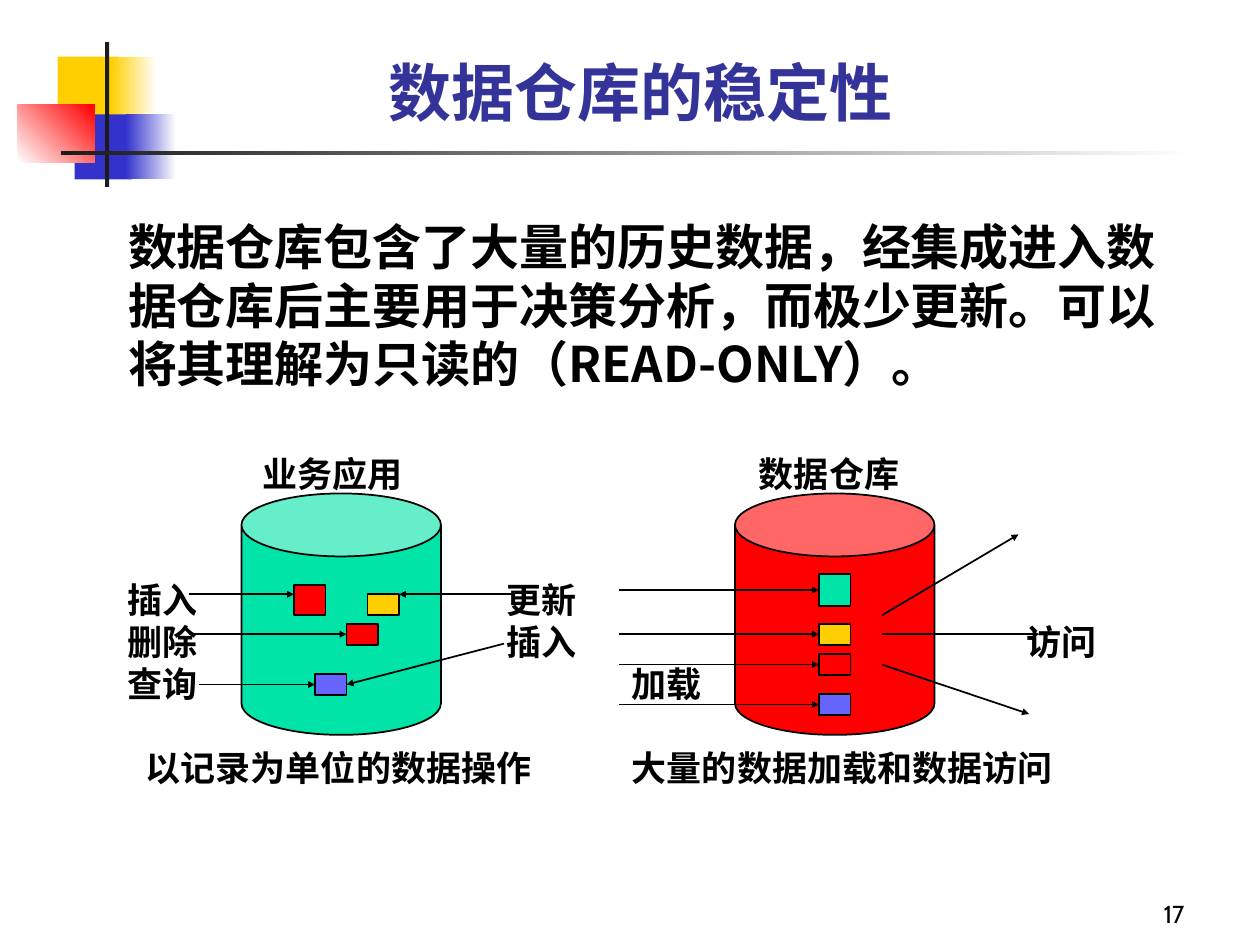
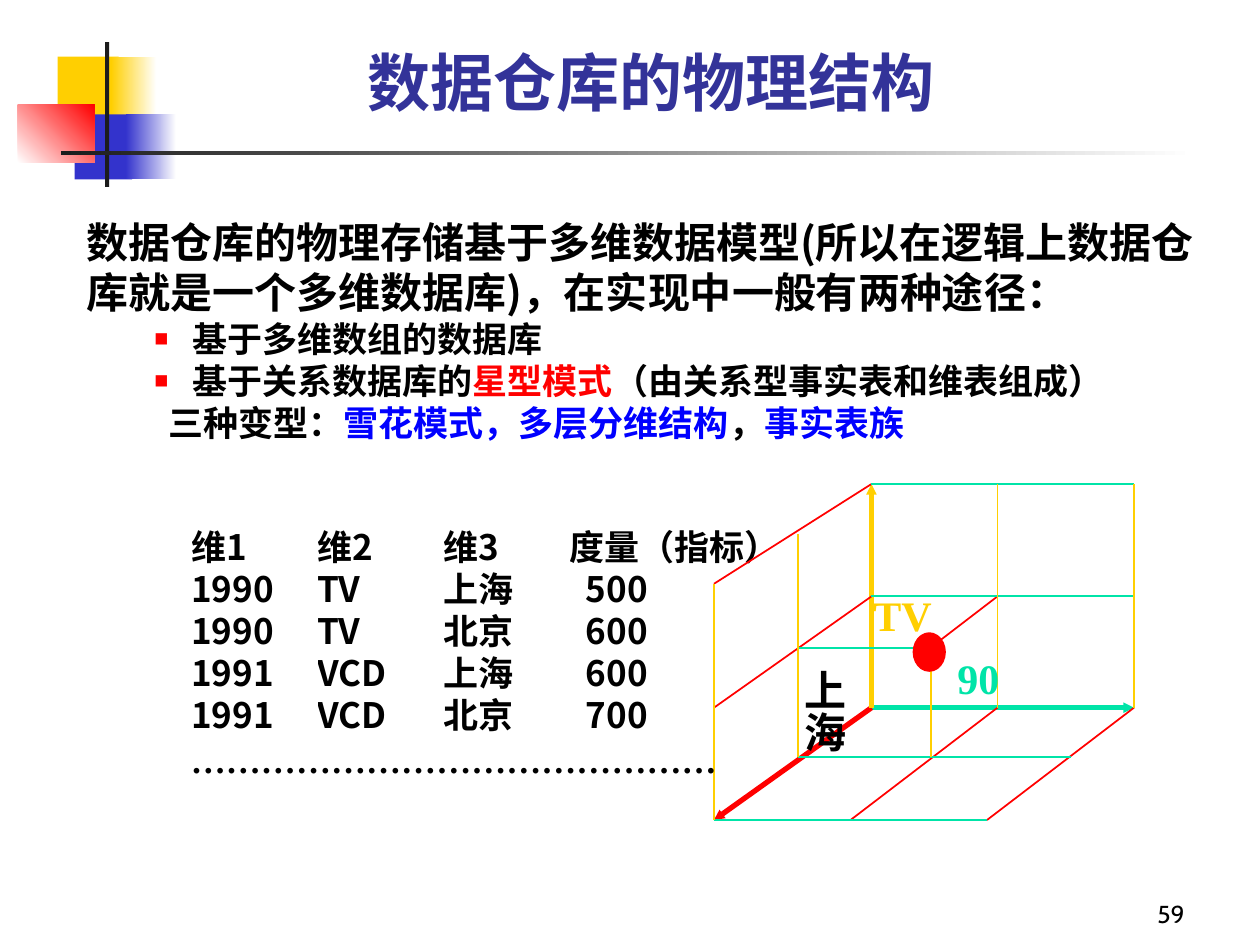
from lxml import etree
from pptx import Presentation, util as u
from pptx.dml.color import RGBColor
from pptx.enum import shapes, text
from pptx.oxml.ns import qn

PX = 7620
SANS, SERIF = "Noto Sans CJK SC", "Times New Roman"
BLACK, WHITE, RED, BLUE = "000000", "FFFFFF", "FF0000", "0000FF"
GREEN, YELLOW, VIOLET, INDIGO = "00E4A8", "FFCF01", "6666FF", "3333CC"
CHARCOAL, TITLE_COLOUR = "1C1C1C", "333399"
RECTANGLE = shapes.MSO_SHAPE.RECTANGLE
CAN = shapes.MSO_SHAPE.CAN
OVAL = shapes.MSO_SHAPE.OVAL


def add_shape(slide, kind, box, colours, angle=0, outline=None):
    shape = slide.shapes.add_shape(kind, *[value * PX for value in box])
    shape.shadow.inherit = False
    if len(colours) == 1:
        shape.fill.solid()
        shape.fill.fore_color.rgb = RGBColor.from_string(colours[0])
    else:
        shape.fill.gradient()
        shape.fill.gradient_angle = angle
        for stop, colour in zip(shape.fill.gradient_stops, colours):
            stop.color.rgb = RGBColor.from_string(colour)
    if outline:
        shape.line.color.rgb = RGBColor.from_string(outline)
        shape.line.width = u.Pt(1)
    else:
        shape.line.fill.background()
    return shape


def write(paragraph, runs, size, font=SANS, bold=True):
    paragraph.line_spacing = u.Pt(size * 1.2)
    for words, colour in runs:
        run = paragraph.add_run()
        run.text = words
        for name, value in {"size": u.Pt(size), "bold": bold, "name": font}.items():
            setattr(run.font, name, value)
        run.font.color.rgb = RGBColor.from_string(colour)
        east_asian = etree.SubElement(run.font._element, qn("a:ea"))
        east_asian.set("typeface", SANS)


bands = [
    ((55, 54, 58, 62), [YELLOW], 0),
    ((106, 54, 43, 62), [YELLOW, WHITE], 0),
    ((71, 109, 55, 62), [INDIGO], 0),
    ((120, 109, 48, 62), [INDIGO, WHITE], 0),
    ((17, 100, 73, 55), [WHITE, RED], 45),
    ((100, 40, 4, 138), [CHARCOAL], 0),
    ((58, 144, 1080, 4), [CHARCOAL, WHITE], 0),
]

stability_body = [
    {"runs": [("数据仓库包含了大量的历史数据，经集成进入数据仓库后主要用于决策分析，而极少更新。可以将其理解为只读的（READ-ONLY）。", BLACK)], "size": 28},
]
bullet = {"margin": 101, "indent": -37, "bullet": "▪"}
structure_body = [
    {"runs": [("数据仓库的物理存储基于多维数据模型(所以在逻辑上数据仓库就是一个多维数据库)，在实现中一般有两种途径：", BLACK)], "size": 24},
    {"runs": [("基于多维数组的数据库", BLACK)], **bullet},
    {"runs": [("基于关系数据库的", BLACK), ("星型模式", RED), ("（由关系型事实表和维表组成）", BLACK)], **bullet},
    {"runs": [("三种变型：", BLACK), ("雪花模式，多层分维结构", BLUE), ("，", BLACK), ("事实表族", BLUE)], "margin": 78},
]
fact_table = [
    ("维1", "维2", "维3", "度量（指标）"),
    ("1990", "TV", "上海", "500"),
    ("1990", "TV", "北京", "600"),
    ("1991", "VCD", "上海", "600"),
    ("1991", "VCD", "北京", "700"),
]

store_labels = []
for words, left, top in [
    ("业务应用", 238, 425), ("数据仓库", 711, 425),
    ("插入", 110, 545), ("更新", 471, 545),
    ("删除", 110, 585), ("插入", 471, 585), ("访问", 966, 585),
    ("查询", 110, 625), ("加载", 590, 625),
    ("以记录为单位的数据操作", 127, 705), ("大量的数据加载和数据访问", 590, 705),
]:
    store_labels.append((words, (left, top, 34 * len(words) + 30, 52), BLACK, "horz", 20, SANS))
cube_labels = [
    ("………………………………………", (170, 697, 560, 52), BLACK, "horz", 20, SERIF),
    ("90", (900, 616, 70, 60), GREEN, "horz", 24, SERIF),
    ("TV", (820, 556, 90, 60), YELLOW, "horz", 24, SERIF),
    ("上海", (743, 626, 72, 119), BLACK, "eaVert", 24, SERIF),
]

stores = [
    (CAN, (230, 470, 190, 230), GREEN, BLACK),
    (CAN, (700, 470, 190, 230), RED, BLACK),
]
for left, top, height, colour in [
    (280, 557, 29, RED), (350, 566, 20, YELLOW), (330, 594, 20, RED), (300, 642, 20, VIOLET),
    (780, 547, 30, GREEN), (780, 594, 20, YELLOW), (780, 623, 20, RED), (780, 661, 20, VIOLET),
]:
    stores.append((RECTANGLE, (left, top, 30, height), colour, BLACK))
store_arrows = [(BLACK, 1, True, ends) for ends in [
    (180, 566, 280, 566), (190, 652, 300, 652), (180, 604, 330, 604),
    (490, 566, 380, 566), (480, 613, 330, 652),
    (590, 562, 780, 562), (590, 604, 780, 604), (590, 633, 780, 633), (590, 671, 780, 671),
    (840, 586, 970, 509), (840, 604, 990, 604), (840, 633, 980, 680),
]]

cube_lines = [
    (GREEN, 3, True, (830, 674, 1080, 674)),
    (RED, 3, True, (830, 674, 680, 781)),
    (YELLOW, 3, True, (830, 674, 830, 461)),
]
cube_edges = {
    RED: [(950, 674, 810, 781), (1080, 674, 940, 781), (830, 461, 680, 556),
          (830, 568, 680, 674), (950, 568, 890, 614)],
    GREEN: [(760, 721, 1020, 721), (680, 781, 940, 781), (830, 461, 1080, 461),
            (830, 568, 1080, 568), (760, 617, 890, 617)],
    YELLOW: [(950, 674, 950, 461), (1080, 674, 1080, 461), (680, 781, 680, 556),
             (760, 721, 760, 509), (887, 721, 887, 614)],
}
for colour, edges in cube_edges.items():
    cube_lines += [(colour, 1, False, ends) for ends in edges]

pages = [
    {"title": "数据仓库的稳定性", "title_box": (100, 50, 1020, 74), "number": "17",
     "body": stability_body, "body_box": (110, 200, 1020, 200),
     "shapes": stores, "lines": store_arrows, "labels": store_labels},
    {"title": "数据仓库的物理结构", "title_box": (110, 40, 1020, 74), "number": "59",
     "body": structure_body, "body_box": (70, 200, 1080, 240),
     "shapes": [(OVAL, (870, 603, 30, 36), RED, RED)], "lines": cube_lines,
     "labels": cube_labels},
]

presentation = Presentation()
presentation.slide_width, presentation.slide_height = 1200 * PX, 900 * PX
layout = presentation.slide_layouts[1]
slides = [presentation.slides.add_slide(layout) for page in pages]

for number, (box, colours, angle) in enumerate(bands, 100):
    band = add_shape(slides[0], RECTANGLE, box, colours, angle)
    band.element.nvSpPr.cNvPr.id = number
    presentation.slide_master.shapes.element.append(band.element)

column_widths = [120, 120, 120, 220]
table = slides[1].shapes.add_table(
    len(fact_table), len(column_widths), 182 * PX, 503 * PX, sum(column_widths) * PX, 200 * PX).table
table.first_row = table.horz_banding = False
for column, width in zip(table.columns, column_widths):
    column.width = width * PX
for row, record in enumerate(fact_table):
    table.rows[row].height = 40 * PX
    for column, words in enumerate(record):
        cell = table.cell(row, column)
        cell.fill.background()
        indent = 16 if row and column == 3 else 0
        cell_format = {"margin_left": indent * PX, "margin_right": 0, "margin_top": 0,
                       "margin_bottom": 0, "vertical_anchor": text.MSO_ANCHOR.MIDDLE}
        for name, value in cell_format.items():
            setattr(cell, name, value)
        write(cell.text_frame.paragraphs[0], [(words, BLACK)], 20)

for slide, page in zip(slides, pages):
    title, body = slide.shapes.title, slide.placeholders[1]
    number_box = slide.shapes.add_textbox(890 * PX, 830 * PX, 250 * PX, 60 * PX)
    for holder, box in [(title, page["title_box"]), (body, page["body_box"])]:
        for side, value in zip(["left", "top", "width", "height"], box):
            setattr(holder, side, value * PX)
    for holder, anchor in [(title, text.MSO_ANCHOR.MIDDLE), (body, text.MSO_ANCHOR.TOP),
                           (number_box, text.MSO_ANCHOR.BOTTOM)]:
        frame_format = {"word_wrap": True, "auto_size": text.MSO_AUTO_SIZE.NONE, "vertical_anchor": anchor}
        for name, value in frame_format.items():
            setattr(holder.text_frame, name, value)

    heading = title.text_frame.paragraphs[0]
    heading.alignment = text.PP_ALIGN.CENTER
    write(heading, [(page["title"], TITLE_COLOUR)], 36)
    heading.line_spacing = 1.0
    footer = number_box.text_frame.paragraphs[0]
    footer.alignment = text.PP_ALIGN.RIGHT
    write(footer, [(page["number"], BLACK)], 14, "Cabin", False)

    for position, item in enumerate(page["body"]):
        frame = body.text_frame
        paragraph = frame.add_paragraph() if position else frame.paragraphs[0]
        write(paragraph, item["runs"], item.get("size", 20))
        paragraph_format = {
            "alignment": text.PP_ALIGN.LEFT,
            "level": 1 if "margin" in item else 0,
            "space_before": u.Pt(0),
            "space_after": u.Pt(0),
        }
        for name, value in paragraph_format.items():
            setattr(paragraph, name, value)
        properties = paragraph._p.get_or_add_pPr()
        properties.set("marL", str(item.get("margin", 0) * PX))
        properties.set("indent", str(item.get("indent", 0) * PX))
        if "bullet" in item:
            bullet_colour = etree.SubElement(properties, qn("a:buClr"))
            etree.SubElement(bullet_colour, qn("a:srgbClr"), val=RED)
            etree.SubElement(properties, qn("a:buSzPct"), val="130000")
            etree.SubElement(properties, qn("a:buFont"), typeface=SERIF)
            etree.SubElement(properties, qn("a:buChar"), char=item["bullet"])
        else:
            etree.SubElement(properties, qn("a:buNone"))

    sites = {}
    drawn = []
    for kind, box, fill, outline in page["shapes"]:
        shape = add_shape(slide, kind, box, [fill], outline=outline)
        drawn.append(shape)
        left, top, width, height = box
        if kind == CAN:
            shape.adjustments[0] = 0.316
        if kind == RECTANGLE:
            sites[left, top + height / 2] = shape, 1
            sites[left + width, top + height / 2] = shape, 3

    for colour, width, arrow, ends in page["lines"]:
        connector = slide.shapes.add_connector(
            shapes.MSO_CONNECTOR.STRAIGHT, *[value * PX for value in ends])
        connector.line.color.rgb = RGBColor.from_string(colour)
        connector.line.width = u.Pt(width)
        if arrow:
            etree.SubElement(connector.get_or_add_ln(), qn("a:tailEnd"), type="triangle", w="sm", len="sm")
        etree.SubElement(connector.element.spPr, qn("a:effectLst"))
        if ends[2:] in sites:
            connector.end_connect(*sites[ends[2:]])

    for shape in drawn:
        if shape.auto_shape_type == OVAL:
            slide.shapes.element.append(shape.element)

    for words, box, colour, direction, size, font in page["labels"]:
        label = slide.shapes.add_textbox(*[value * PX for value in box])
        label.text_frame.word_wrap = True
        label.text_frame._txBody.bodyPr.set("vert", direction)
        write(label.text_frame.paragraphs[0], [(words, colour)], size, font)

presentation.save("out.pptx")
